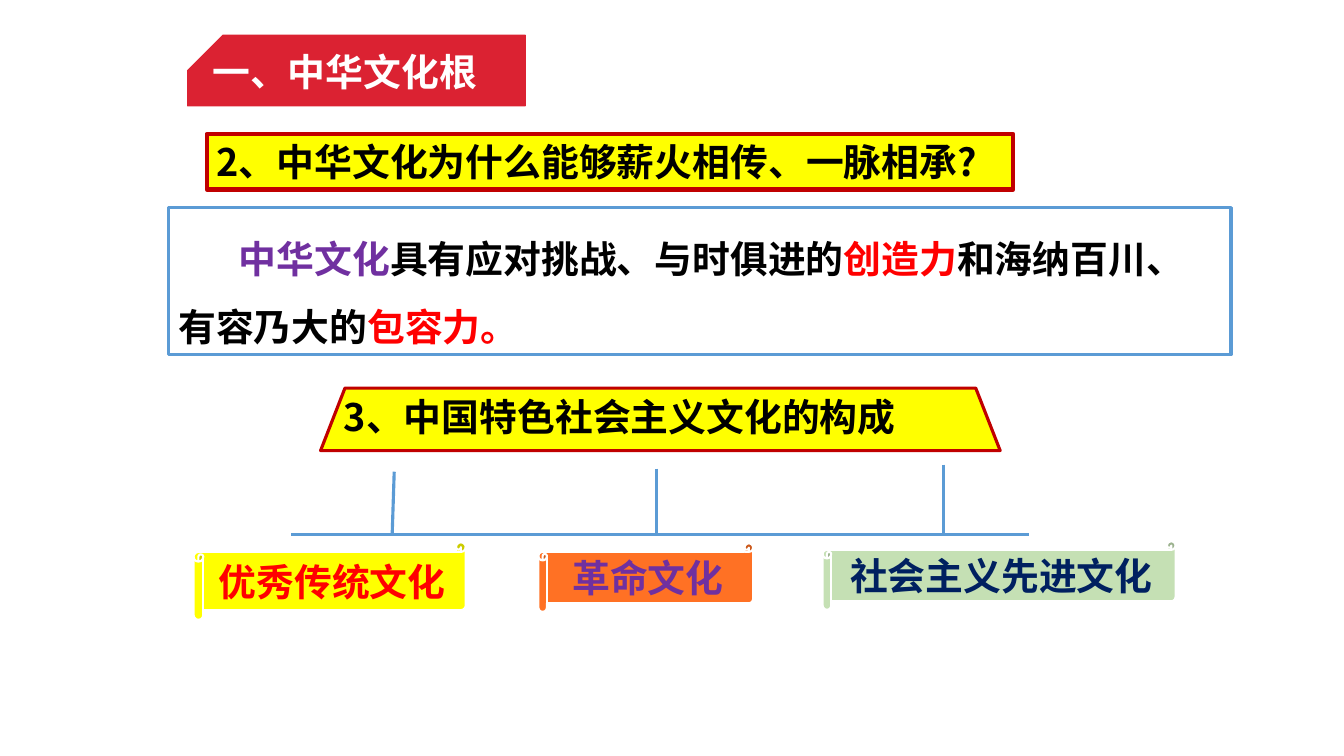
from lxml import etree
from pptx import Presentation
from pptx.dml.color import RGBColor
from pptx.enum.shapes import MSO_CONNECTOR, MSO_SHAPE as Shape
from pptx.enum.text import MSO_ANCHOR as Anchor, MSO_AUTO_SIZE as AutoSize, PP_ALIGN as Align
from pptx.oxml.ns import qn
from pptx.util import Inches, Pt

BLACK = RGBColor(0x00, 0x00, 0x00)
WHITE = RGBColor(0xFF, 0xFF, 0xFF)
RED = RGBColor(0xFF, 0x00, 0x00)
DARK_RED = RGBColor(0xC0, 0x00, 0x00)
BANNER_RED = RGBColor(0xDB, 0x22, 0x32)
YELLOW = RGBColor(0xFF, 0xFF, 0x00)
ORANGE = RGBColor(0xFF, 0x71, 0x24)
GREEN = RGBColor(0xC5, 0xE0, 0xB4)
BLUE = RGBColor(0x5B, 0x9B, 0xD5)
NAVY = RGBColor(0x00, 0x20, 0x60)
PURPLE = RGBColor(0x70, 0x30, 0xA0)


def write(tf, runs, align=Align.LEFT, anchor=Anchor.TOP, spacing=1.0, indent=0,
          inset=None, grow=False, font="Noto Sans CJK SC", size=27):
    """Fill a text frame with one bold paragraph of (text, colour) runs."""
    tf.word_wrap = True
    tf.vertical_anchor = anchor
    if grow:
        tf.auto_size = AutoSize.SHAPE_TO_FIT_TEXT
    if inset:
        tf.margin_left = tf.margin_right = Inches(inset[0])
        tf.margin_top = tf.margin_bottom = Inches(inset[1])
    p = tf.paragraphs[0]
    p.alignment, p.line_spacing = align, spacing
    if indent:
        p._p.get_or_add_pPr().set("indent", str(Inches(indent)))
    for text, color in runs:
        r = p.add_run()
        r.text = text
        r.font.name, r.font.size, r.font.bold = font, Pt(size), True
        r.font.color.rgb = color
        etree.SubElement(r._r.get_or_add_rPr(), qn("a:ea"), typeface=font)


class Board:
    """The current slide, laid out on a grid of tenths of an inch."""

    CELL = Inches(0.1)
    TIGHT = (0.07, 0.04)

    def __init__(self, slide):
        """Keep the slide to draw on."""
        self.s = slide

    def grid(self, *cells):
        """Turn grid columns and rows into lengths."""
        return [round(c * self.CELL) for c in cells]

    def box(self, kind, at, runs, fill=None, line=BLUE, weight=2.25, adj=None, **text_format):
        """Add a preset shape with its text."""
        sp = self.s.shapes.add_shape(kind, *self.grid(*at))
        sp.shadow.inherit = False
        if fill is None:
            sp.fill.background()
        else:
            sp.fill.solid()
            sp.fill.fore_color.rgb = fill
        sp.line.color.rgb, sp.line.width = line, Pt(weight)
        if adj is not None:
            sp.adjustments[0] = adj
        write(sp.text_frame, runs, **text_format)
        return sp

    def banner(self, at, text):
        """Add the section banner, its cut corner turned to the top left."""
        sp = self.box(Shape.SNIP_1_RECTANGLE, at, [(text, WHITE)], fill=BANNER_RED,
                      line=BANNER_RED, weight=0.75, adj=0.5, spacing=0.8, inset=self.TIGHT)
        sp.rotation = 180
        sp._element.spPr.find(qn("a:xfrm")).set("flipV", "1")

    def scroll(self, at, text, color, fill):
        """Add a scroll naming one part of the culture."""
        self.box(Shape.HORIZONTAL_SCROLL, at, [(text, color)], fill=fill, line=WHITE,
                 weight=1.5, align=Align.CENTER, anchor=Anchor.MIDDLE)

    def line(self, *ends):
        """Add a plain blue line between two grid points."""
        c = self.s.shapes.add_connector(MSO_CONNECTOR.STRAIGHT, *self.grid(*ends))
        c.line.color.rgb, c.line.width = BLUE, Pt(2.25)
        etree.SubElement(c._element.spPr, qn("a:effectLst"))


def main():
    """Build the slide and save it."""
    prs = Presentation()
    prs.slide_width, prs.slide_height = Inches(13.33), Inches(7.5)
    board = Board(prs.slides.add_slide(prs.slide_layouts[6]))

    board.box(Shape.RECTANGLE, (20.5, 13.3, 80, 5.5),
              [("2、中华文化为什么能够薪火相传、一脉相承?", BLACK)],
              fill=YELLOW, line=DARK_RED, weight=3, grow=True)
    answer = [("中华文化", PURPLE), ("具有应对挑战、与时俱进的", BLACK), ("创造力", RED),
              ("和海纳百川、有容乃大的", BLACK), ("包容力。", RED)]
    board.box(Shape.RECTANGLE, (16.7, 20.6, 105.4, 14.6), answer,
              spacing=1.5, indent=0.6, grow=True)
    board.banner((18.6, 3.5, 33.5, 7), "一、中华文化根")
    board.box(Shape.TRAPEZOID, (31.8, 38.5, 67.4, 6.2),
              [("3、中国特色社会主义文化的构成", BLACK)],
              fill=YELLOW, line=DARK_RED, adj=0.39, inset=Board.TIGHT)

    for at, text, color, fill in [
        ((19.2, 53.8, 27, 7.7), "优秀传统文化", RED, YELLOW),
        ((53.4, 53.9, 21.3, 6.8), "革命文化", PURPLE, ORANGE),
        ((81.6, 53.7, 35, 6.8), "社会主义先进文化", NAVY, GREEN),
    ]:
        board.scroll(at, text, color, fill)

    rail = 53
    board.line(28.9, rail, 102.1, rail)
    for top_x, top, foot_x in [(39.1, 46.8, 38.9), (65.1, 46.5, 65.1), (93.6, 46.1, 93.6)]:
        board.line(top_x, top, foot_x, rail)

    prs.save("out.pptx")


main()
